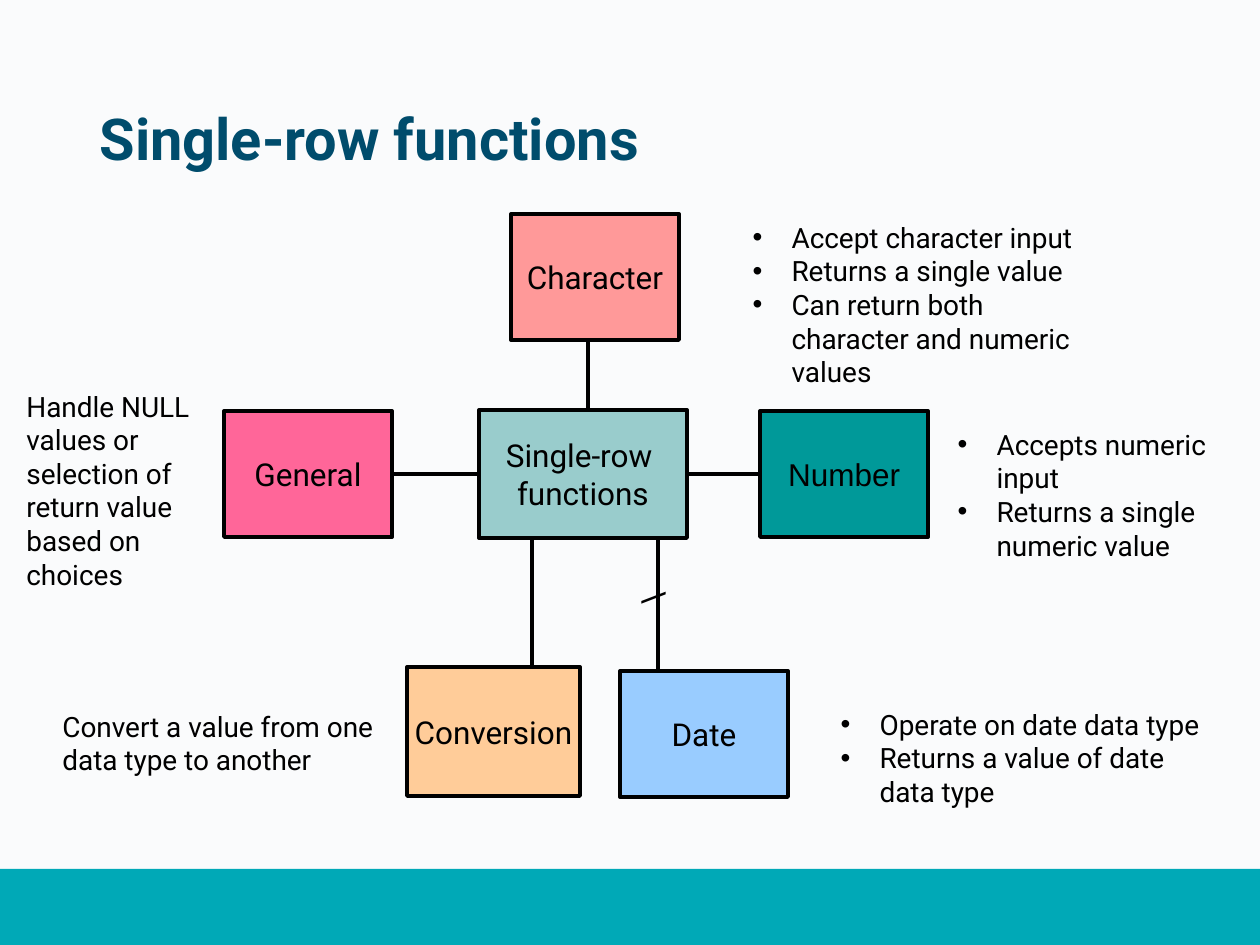
from dataclasses import dataclass

from lxml import etree
from pptx import Presentation
from pptx import util as u
from pptx.dml.color import RGBColor
from pptx.enum import shapes, text
from pptx.oxml.ns import qn

PX_PER_INCH = 126
TOP, LEFT, BOTTOM, RIGHT = range(4)


@dataclass(frozen=True)
class Theme:
    background: str = "FAFBFC"
    band: str = "00A9B7"
    title: str = "004C6C"
    ink: str = "000000"
    character: str = "FF9999"
    number: str = "009999"
    date: str = "99CCFF"
    conversion: str = "FFCC99"
    general: str = "FF6699"
    hub: str = "99CCCC"
    font: str = "Roboto"
    number_font: str = "Arial"
    title_size: int = 33
    box_size: int = 18
    note_size: int = 16
    line_width: float = 2.25


def px(length):
    return u.Emu(round(length * 914400 / PX_PER_INCH))


def rgb(color):
    return RGBColor.from_string(color)


def write(frame, lines, *, font, size, color, bold=False, align=text.PP_ALIGN.LEFT,
          anchor=text.MSO_ANCHOR.TOP, wrap=True, spacing=1.0, bullet_indent=0):
    frame.word_wrap = wrap
    frame.auto_size = text.MSO_AUTO_SIZE.NONE
    frame.vertical_anchor = anchor
    for number, line in enumerate(lines):
        paragraph = frame.add_paragraph() if number else frame.paragraphs[0]
        paragraph.alignment = align
        paragraph.line_spacing = spacing
        paragraph.space_before = u.Pt(0)
        run = paragraph.add_run()
        run.text = line
        run.font.name, run.font.size, run.font.bold = font, u.Pt(size), bold
        run.font.color.rgb = rgb(color)
        if bullet_indent:
            properties = paragraph._p.get_or_add_pPr()
            properties.set("marL", str(px(bullet_indent)))
            properties.set("indent", str(-px(bullet_indent)))
            etree.SubElement(properties, qn("a:buFont"), typeface="Arial")
            etree.SubElement(properties, qn("a:buChar"), char="•")


class Diagram:
    """Holds the theme and the current slide."""

    def __init__(self, slide, theme):
        self.slide, self.theme = slide, theme
        slide.background.fill.solid()
        slide.background.fill.fore_color.rgb = rgb(theme.background)

    def place(self, item, bounds):
        item.left, item.top, item.width, item.height = map(px, bounds)

    def title(self, wording, bounds):
        heading = self.slide.shapes.title
        self.place(heading, bounds)
        write(heading.text_frame, [wording], font=self.theme.font,
              size=self.theme.title_size, color=self.theme.title, bold=True,
              anchor=text.MSO_ANCHOR.MIDDLE, spacing=0.9)

    def bullets(self, body, lines, bounds):
        self.place(body, bounds)
        write(body.text_frame, lines, font=self.theme.font,
              size=self.theme.note_size, color=self.theme.ink, bullet_indent=39)

    def note(self, wording, bounds):
        remark = self.slide.shapes.add_textbox(*map(px, bounds))
        write(remark.text_frame, [wording], font=self.theme.font,
              size=self.theme.note_size, color=self.theme.ink)

    def rotated_mark(self, wording, bounds):
        mark = self.slide.shapes.add_textbox(*map(px, bounds))
        mark.rotation = 90
        write(mark.text_frame, [wording], font=self.theme.font,
              size=self.theme.box_size, color=self.theme.ink, wrap=False,
              align=text.PP_ALIGN.CENTER, anchor=text.MSO_ANCHOR.MIDDLE)

    def rectangle(self, fill, bounds):
        panel = self.slide.shapes.add_shape(
            shapes.MSO_SHAPE.RECTANGLE, *map(px, bounds))
        panel.shadow.inherit = False
        panel.fill.solid()
        panel.fill.fore_color.rgb = rgb(fill)
        panel.line.fill.background()
        return panel

    def box(self, lines, fill, bounds, font=None):
        node = self.rectangle(fill, bounds)
        node.line.color.rgb = rgb(self.theme.ink)
        node.line.width = u.Pt(self.theme.line_width)
        write(node.text_frame, lines, font=font or self.theme.font,
              size=self.theme.box_size, color=self.theme.ink, wrap=False,
              align=text.PP_ALIGN.CENTER, anchor=text.MSO_ANCHOR.MIDDLE)
        return node

    def line(self, *ends):
        link = self.slide.shapes.add_connector(
            shapes.MSO_CONNECTOR.STRAIGHT, *map(px, ends))
        link.line.color.rgb = rgb(self.theme.ink)
        link.line.width = u.Pt(self.theme.line_width)
        etree.SubElement(link._element.spPr, qn("a:effectLst"))
        return link


def main():
    deck = Presentation()
    deck.slide_width, deck.slide_height = px(1260), px(945)
    comparison = deck.slide_layouts.get_by_name("Comparison")
    slide = deck.slides.add_slide(comparison)
    theme = Theme()
    diagram = Diagram(slide, theme)

    diagram.rectangle(theme.band, (0, 869, 1260, 76))
    diagram.title("Single-row functions", (87, 50, 1086, 183))

    # Links come before the boxes so that the boxes cover their ends.
    diagram.line(532, 524, 532, 669)
    diagram.line(658, 525, 658, 672)
    diagram.line(588, 506, 588, 311)
    general_link = diagram.line(392, 474, 479, 474)
    number_link = diagram.line(687, 474, 760, 474)
    diagram.rotated_mark("\\", (636, 578, 40, 40))

    diagram.box(["Conversion"], theme.conversion, (407, 667, 173, 129))
    diagram.box(["Character"], theme.character, (511, 214, 168, 126))
    number = diagram.box(["Number"], theme.number, (760, 411, 168, 126),
                         font=theme.number_font)
    diagram.box(["Date"], theme.date, (620, 671, 168, 126))
    general = diagram.box(["General"], theme.general, (224, 411, 168, 126))
    hub = diagram.box(["Single-row ", "functions"], theme.hub, (479, 410, 208, 128))
    general_link.begin_connect(general, RIGHT)
    general_link.end_connect(hub, LEFT)
    number_link.begin_connect(hub, RIGHT)
    number_link.end_connect(number, LEFT)

    bodies = [holder for holder in slide.placeholders
              if holder.placeholder_format.idx > 0]
    details = [
        (["Accept character input", "Returns a single value",
          "Can return both character and numeric values"], (740, 214, 348, 183)),
        (["Accepts numeric input", "Returns a single numeric value"],
         (945, 421, 315, 149)),
        (["Operate on date data type", "Returns a value of date data type"],
         (828, 701, 397, 115)),
    ]
    for body, (lines, bounds) in zip(bodies, details):
        diagram.bullets(body, lines, bounds)
    for unused in bodies[len(details):]:
        unused._element.getparent().remove(unused._element)

    diagram.note("Convert a value from one data type to another", (50, 703, 348, 81))
    diagram.note("Handle NULL values or selection of return value based on choices",
                 (14, 383, 208, 217))
    deck.save("out.pptx")


if __name__ == "__main__":
    main()
